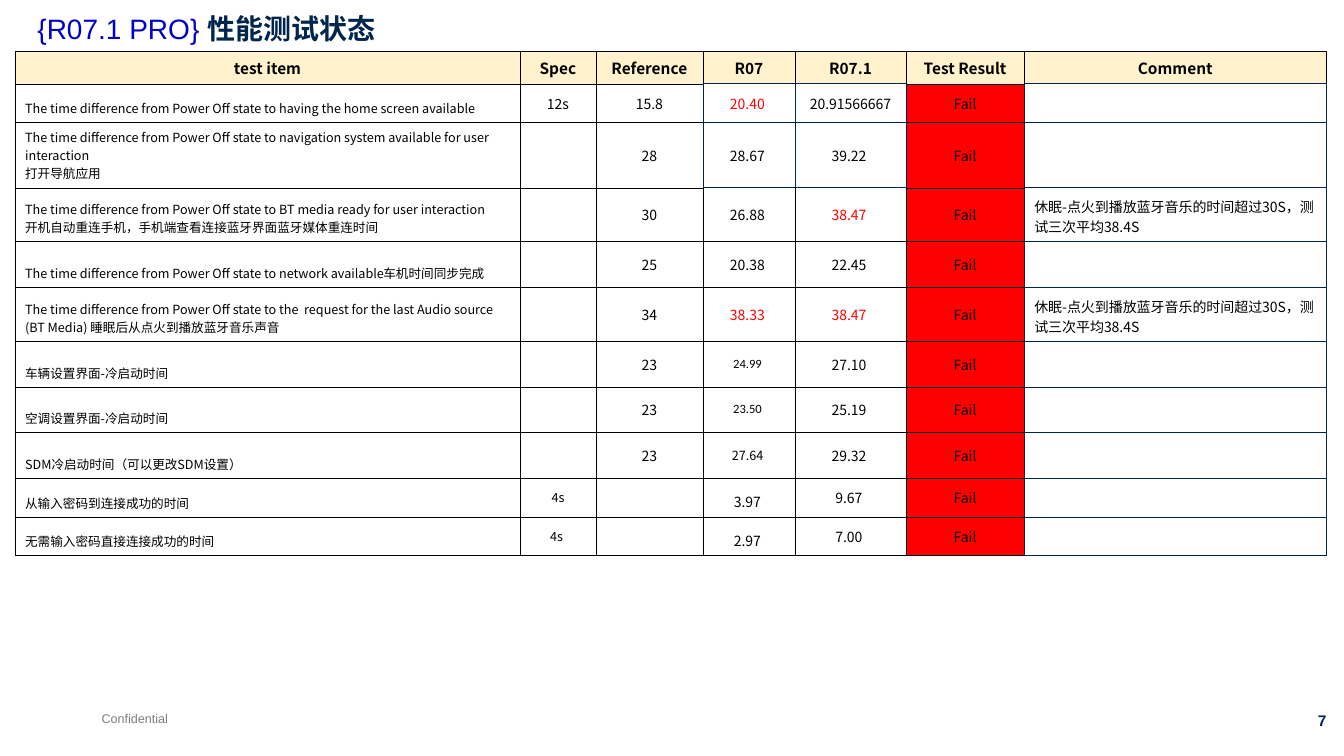
from lxml import etree
from pptx import Presentation
from pptx import util as u
from pptx.dml import color
from pptx.enum import text
from pptx.oxml import ns

SANS, ARIAL, CALIBRI = "Noto Sans CJK SC", "Arial", "Calibri"
BLACK, NAVY, RED, WHITE, CREAM = "000000", "00264E", "FF0000", "FFFFFF", "FFF2CC"
LEFT, CENTER, RIGHT = text.PP_ALIGN.LEFT, text.PP_ALIGN.CENTER, text.PP_ALIGN.RIGHT
TOP, MIDDLE, BOTTOM = text.MSO_ANCHOR.TOP, text.MSO_ANCHOR.MIDDLE, text.MSO_ANCHOR.BOTTOM

COLUMN_WIDTHS = [12.73, 1.91, 2.7, 2.32, 2.8, 2.98, 7.62]
ROW_HEIGHTS = [0.81, 0.98, 1.64, 1.35, 1.15, 1.37, 1.15, 1.15, 1.15, 0.98, 0.97]
ITEM, SPEC, REFERENCE, R07, R071, RESULT, COMMENT = range(7)
SLOW_MUSIC = "休眠-点火到播放蓝牙音乐的时间超过30S，测试三次平均38.4S"
ROWS = [
    ["test item", "Spec", "Reference", "R07", "R07.1", "Test Result", "Comment"],
    ["The time difference from Power Off state to having the home screen available",
     "12s", "15.8", "20.40 ", "20.91566667", "Fail", ""],
    ["The time difference from Power Off state to navigation system available "
     "for user interaction\n打开导航应用", "", "28", "28.67 ", "39.22 ", "Fail", ""],
    ["The time difference from Power Off state to BT media ready for user interaction\n"
     "开机自动重连手机，手机端查看连接蓝牙界面蓝牙媒体重连时间",
     "", "30", "26.88 ", "38.47 ", "Fail", SLOW_MUSIC],
    ["The time difference from Power Off state to network available车机时间同步完成",
     "", "25", "20.38 ", "22.45 ", "Fail", ""],
    ["The time difference from Power Off state to the  request for the last Audio "
     "source (BT Media) 睡眠后从点火到播放蓝牙音乐声音",
     "", "34", "38.33 ", "38.47 ", "Fail", SLOW_MUSIC],
    ["车辆设置界面-冷启动时间", "", "23", "24.99 ", "27.10 ", "Fail", ""],
    ["空调设置界面-冷启动时间", "", "23", "23.50 ", "25.19 ", "Fail", ""],
    ["SDM冷启动时间（可以更改SDM设置）", "", "23", "27.64 ", "29.32 ", "Fail", ""],
    ["从输入密码到连接成功的时间", "4s", "", "3.97 ", "9.67 ", "Fail", ""],
    ["无需输入密码直接连接成功的时间", "4s ", "", "2.97 ", "7.00 ", "Fail", ""],
]
RED_VALUES = {(1, R07), (3, R071), (5, R07), (5, R071)}
CALIBRI_VALUES = {(6, R07), (7, R07)}
SMALL_VALUES = CALIBRI_VALUES | {(8, R07), (9, SPEC), (10, SPEC)}
LOW_VALUES = {(9, R07), (10, R07)}
NAVY_CELLS = {(row, COMMENT) for row in range(1, len(ROWS))}
NAVY_CELLS |= {(row, column) for row in (1, 2) for column in (R07, R071)}
SIDES = {"a:lnL": (0, -1), "a:lnR": (0, 1), "a:lnT": (-1, 0), "a:lnB": (1, 0)}


def rgb(value):
    return color.RGBColor.from_string(value)


def add_element(parent, tag, **attributes):
    return etree.SubElement(parent, ns.qn(tag), **attributes)


class SlideBuilder:
    def __init__(self, slide):
        self.slide = slide

    def format_span(self, span, size, tint=BLACK, bold=False, face=SANS):
        span.font.size = u.Pt(size)
        span.font.bold = bold
        span.font.color.rgb = rgb(tint)
        span.font.name = face
        add_element(span.font._element, "a:ea", typeface=SANS)

    def title(self, left, top, width, height, parts):
        box = self.slide.shapes.title
        box.left, box.top, box.width, box.height = map(u.Cm, (left, top, width, height))
        frame = box.text_frame
        frame.auto_size = text.MSO_AUTO_SIZE.NONE
        frame.vertical_anchor = TOP
        para = frame.paragraphs[0]
        para.alignment = LEFT
        para.line_spacing = 0.9
        for words, tint, bold in parts:
            span = para.add_run()
            span.text = words
            self.format_span(span, 20, tint, bold, ARIAL)

    def label(self, left, top, width, height, words, size, tint, bold, align):
        box = self.slide.shapes.add_textbox(*map(u.Cm, (left, top, width, height)))
        box.text_frame.word_wrap = True
        para = box.text_frame.paragraphs[0]
        para.text = words
        para.alignment = align
        self.format_span(para.runs[0], size, tint, bold, ARIAL)

    def table(self, left, top):
        frame = self.slide.shapes.add_table(
            len(ROWS), len(COLUMN_WIDTHS), u.Cm(left), u.Cm(top),
            u.Cm(sum(COLUMN_WIDTHS)), u.Cm(sum(ROW_HEIGHTS)))
        grid = frame.table
        grid.first_row = grid.horz_banding = False
        for column, width in zip(grid.columns, COLUMN_WIDTHS):
            column.width = u.Cm(width)
        for row, height in zip(grid.rows, ROW_HEIGHTS):
            row.height = u.Cm(height)
        for row, values in enumerate(ROWS):
            for column, words in enumerate(values):
                self.cell(grid.cell(row, column), (row, column), words)

    def cell(self, cell, place, words):
        row, column = place
        header = row == 0
        prose = not header and column in (ITEM, COMMENT)
        small = not header and (column == ITEM or place in SMALL_VALUES)
        size = 11 if header else 9 if small else 10
        self.borders(cell, place)
        cell.fill.solid()
        cell.fill.fore_color.rgb = rgb(CREAM if header else RED if column == RESULT else WHITE)
        cell.vertical_anchor = BOTTOM if prose or place in LOW_VALUES else MIDDLE
        para = cell.text_frame.paragraphs[0]
        para.text = words
        para.alignment = LEFT if prose else CENTER
        for span in para.runs:
            self.format_span(span, size, RED if place in RED_VALUES else BLACK, header,
                             CALIBRI if place in CALIBRI_VALUES else SANS)
        if not words:
            add_element(para._p, "a:endParaRPr", sz=str(size * 100))

    def borders(self, cell, place):
        properties = cell._tc.get_or_add_tcPr()
        for tag, (down, across) in SIDES.items():
            neighbour = (place[0] + down, place[1] + across)
            navy = place in NAVY_CELLS or neighbour in NAVY_CELLS
            line = add_element(properties, tag, w=str(u.Pt(0.45 if navy else 0.23)))
            fill = add_element(line, "a:solidFill")
            add_element(fill, "a:srgbClr", val=NAVY if navy else BLACK)


def main():
    deck = Presentation()
    deck.slide_width, deck.slide_height = u.Cm(33.88), u.Cm(19.05)
    page = SlideBuilder(deck.slides.add_slide(deck.slide_layouts[5]))
    page.label(2.31, 17.8, 2.8, 0.64, "Confidential", 9, "7F7F7F", False, LEFT)
    page.label(31.3, 17.8, 2.39, 0.73, "7", 11, NAVY, True, RIGHT)
    page.title(0.69, 0.25, 30.1, 1.6,
               [("{R07.1 PRO} ", "0000CC", False), ("性能测试状态", NAVY, True)])
    page.table(0.38, 1.3)
    deck.save("out.pptx")


if __name__ == "__main__":
    main()
